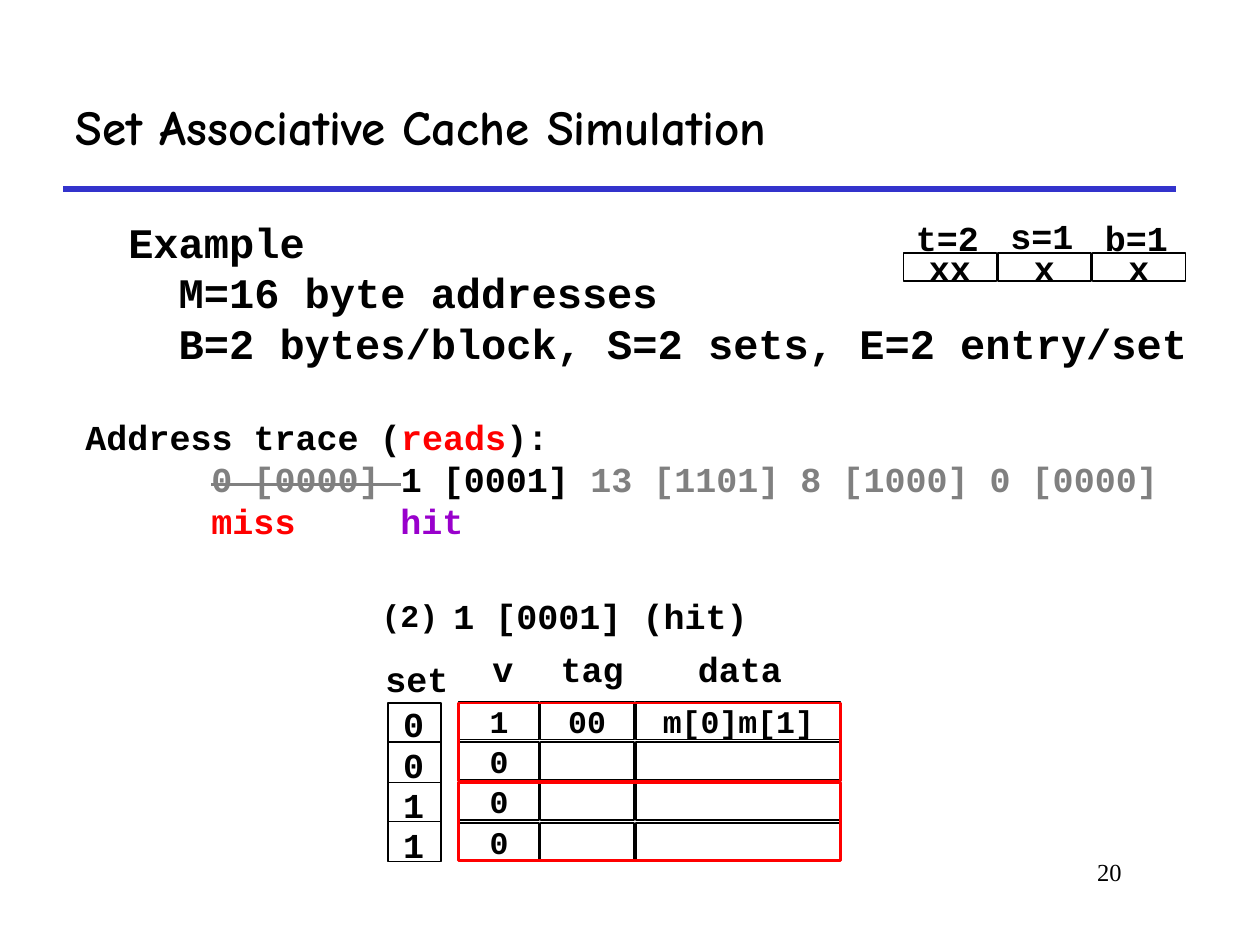
from lxml import etree
from pptx import Presentation
from pptx.dml.color import RGBColor
from pptx.enum.shapes import MSO_CONNECTOR, MSO_SHAPE
from pptx.enum.text import MSO_ANCHOR, PP_ALIGN
from pptx.oxml.ns import qn
from pptx.util import Inches, Pt

LEFT, MID, RIGHT = PP_ALIGN.LEFT, PP_ALIGN.CENTER, PP_ALIGN.RIGHT
TOP, CENTER = MSO_ANCHOR.TOP, MSO_ANCHOR.MIDDLE
RECT, LINE = MSO_SHAPE.RECTANGLE, MSO_CONNECTOR.STRAIGHT
BLACK, WHITE, RED, GRAY = "000000", "FFFFFF", "FF0000", "808080"
hexa = RGBColor.from_string

deck = Presentation()
deck.slide_width, deck.slide_height = Inches(10), Inches(7.5)
slide = deck.slides.add_slide(deck.slide_layouts[6])
shapes = slide.shapes


def put(text, at, size=20, font="Courier New", bold=True, align=LEFT,
        anchor=TOP, wrap=False, line=None, width=1, fill=None, tabs=(),
        indents=(), inset=(0.1, 0.1)):
    """Add a text box, or a rectangle if line is set.

    Text is a string, or a list of paragraphs, each a list of
    (words, colour, struck) runs.
    """
    box = [Inches(n) for n in at]
    if line:
        shape = shapes.add_shape(RECT, *box)
        shape.shadow.inherit = False
        shape.line.color.rgb = hexa(line)
        shape.line.width = Pt(width)
        if fill:
            shape.fill.solid()
            shape.fill.fore_color.rgb = hexa(fill)
        else:
            shape.fill.background()
    else:
        shape = shapes.add_textbox(*box)
    if not text:
        return shape
    frame = shape.text_frame
    frame.word_wrap, frame.vertical_anchor = wrap, anchor
    frame.margin_left, frame.margin_right = map(Inches, inset)
    paras = [[(text, BLACK, False)]] if isinstance(text, str) else text
    for i, runs in enumerate(paras):
        para = frame.add_paragraph() if i else frame.paragraphs[0]
        para.alignment = align
        props = para._p.get_or_add_pPr()
        if indents:
            props.set("marL", str(Inches(indents[i])))
        if tabs:
            stops = etree.SubElement(props, qn("a:tabLst"))
            for stop in tabs:
                etree.SubElement(stops, qn("a:tab"), pos=str(Inches(stop)), algn="l")
        for words, color, struck in runs:
            run = para.add_run()
            run.text = words
            run.font.size, run.font.name, run.font.bold = Pt(size), font, bold
            run.font.color.rgb = hexa(color)
            if struck:
                run._r.get_or_add_rPr().set("strike", "sngStrike")
    return shape


def rule(x1, y1, x2, y2, color, width):
    line = shapes.add_connector(LINE, *[Inches(n) for n in (x1, y1, x2, y2)])
    line.line.color.rgb = hexa(color)
    line.line.width = Pt(width)
    etree.SubElement(line._element.spPr, qn("a:effectLst"))
    return line


# Title, rule and page number
rule(0.5, 1.5, 9.33, 1.5, "3333CC", 3)
put("20", (7.58, 6.75, 1.42, 0.5), size=14, font="Times New Roman",
    bold=False, align=RIGHT, wrap=True)
put("Set Associative Cache Simulation", (0.5, 0.5, 8.83, 1), size=28,
    font="Comic Neue", anchor=CENTER, wrap=True)

# Example parameters
facts = ["Example", "M=16 byte addresses",
         "B=2 bytes/block, S=2 sets, E=2 entry/set"]
put([[(fact, BLACK, False)] for fact in facts], (0.92, 1.67, 8.67, 1.33),
    size=24, wrap=True, indents=(0, 0.4, 0.4))

# Address trace
trace = [
    [("Address trace (", BLACK, False), ("reads", RED, False), ("):", BLACK, False)],
    [("\t", BLACK, False), ("0 [0000] ", GRAY, True), ("1 [0001] ", BLACK, False),
     ("13 [1101] 8 [1000] 0 [0000]", GRAY, False)],
    [("\tmiss", RED, False), ("\thit", "9900CC", False)],
]
put(trace, (0.58, 3.25, 9.08, 1.11), wrap=True, tabs=(1, 2.5))

# Cache table
cols = [(3.64, 0.64), (4.29, 0.74), (5.05, 1.62)]
rows = [("1", "00", "m[0]m[1]")] + [("0", "", "")] * 3
for i, row in enumerate(rows):
    for (x, w), text in zip(cols, row):
        put(text, (x, 5.57 + 0.32 * i, w, 0.3), size=18, align=MID,
            anchor=CENTER, line=BLACK, fill=WHITE)
for head, x, w in [("v", 3.81, 0.37), ("tag", 4.35, 0.71), ("data", 5.44, 0.87)]:
    put(head, (x, 5.09, w, 0.43))
put("1 [0001] (hit)", (3.5, 4.67, 2.73, 0.43), wrap=True)
put("(2)", (2.93, 4.68, 0.65, 0.4), size=18)

# Address fields
fields = [("t=2", "xx"), ("s=1", "x"), ("b=1", "x")]
for i, (name, bits) in enumerate(fields):
    x = 7.17 + 0.75 * i
    put(bits, (x, 2.01, 0.74, 0.22), align=MID, anchor=CENTER,
        line=BLACK, fill=WHITE)
    put(name, (x, 1.65 if i == 1 else 1.67, 0.7, 0.43))

# Frames around each set
for y in (5.58, 6.21):
    put("", (3.64, y, 3.03, 0.62), line=RED, width=1.5)

# Set numbers
column = put("", (3.08, 5.58, 0.42, 1.26), line=BLACK, width=0.75)
for y in (5.89, 6.21, 6.52):
    line = rule(3.08, y, 3.5, y, BLACK, 0.75)
    if y == 6.21:
        line.begin_connect(column, 1)
        line.end_connect(column, 3)
for i, text in enumerate("0011"):
    put(text, (3.15, 5.53 + 0.32 * i, 0.16, 0.55), wrap=True, inset=(0.05, 0))
put("set", (2.96, 5.17, 0.71, 0.44))

deck.save("out.pptx")
